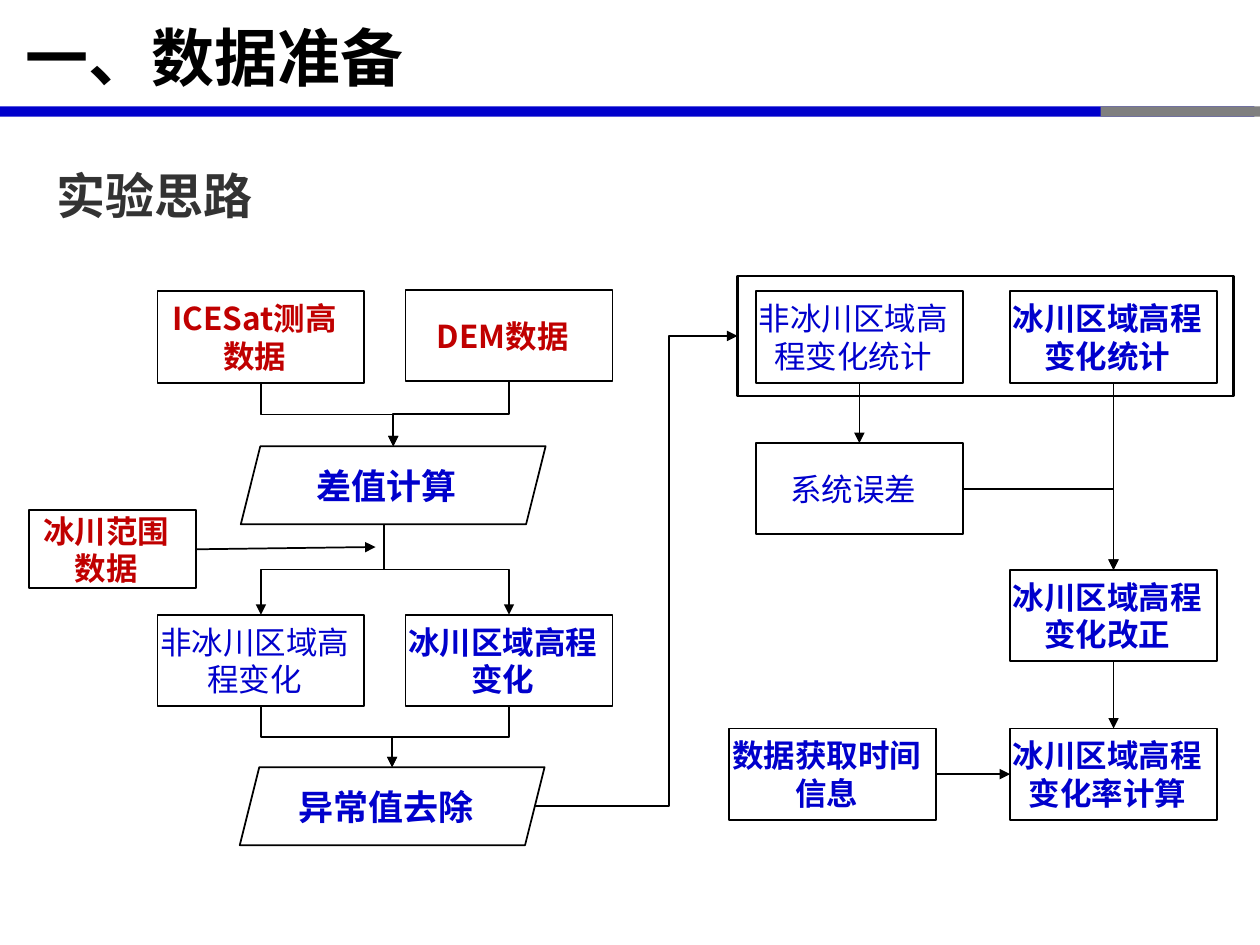
"""Build the flowchart slide on preparing glacier elevation data."""
from dataclasses import dataclass

from lxml import etree
from pptx import Presentation
from pptx import util as u
from pptx.dml.color import RGBColor
from pptx.enum import shapes, text
from pptx.oxml.ns import qn


@dataclass(frozen=True)
class Theme:
    black: str = "000000"
    blue: str = "0000CC"
    red: str = "C00000"
    grey: str = "7F7F7F"
    heading: str = "333333"
    title_font: str = "Arial"
    font: str = "Noto Sans CJK SC"
    title_size: float = 36
    heading_size: float = 28
    step_size: float = 20
    box_size: float = 18


@dataclass(frozen=True)
class Point:
    x: float
    y: float


@dataclass(frozen=True)
class Node:
    label: str
    left: float
    top: float
    width: float = 118.2
    height: float = 52.2
    color: str = Theme.blue
    bold: bool = True
    size: float = Theme.box_size
    kind: shapes.MSO_SHAPE = shapes.MSO_SHAPE.RECTANGLE
    line: float = 1

    def at(self, across: float, down: float) -> Point:
        return Point(self.left + across * self.width, self.top + down * self.height)

    @property
    def top_mid(self) -> Point:
        return self.at(0.5, 0)

    @property
    def bottom_mid(self) -> Point:
        return self.at(0.5, 1)

    @property
    def left_mid(self) -> Point:
        return self.at(0, 0.5)

    @property
    def right_mid(self) -> Point:
        return self.at(1, 0.5)


def rgb(color: str) -> RGBColor:
    return RGBColor.from_string(color)


def write(shape, label: str, size: float, color: str, bold: bool, font: str, align=None):
    frame = shape.text_frame
    frame.word_wrap = True
    paragraph = frame.paragraphs[0]
    paragraph.text = label
    paragraph.alignment = align
    paragraph.font.size = u.Pt(size)
    paragraph.font.bold = bold
    paragraph.font.color.rgb = rgb(color)
    paragraph.font.name = font
    etree.SubElement(paragraph.font._rPr, qn("a:ea")).set("typeface", Theme.font)
    return paragraph


def add_heading(slide, label: str, box: tuple, size: float, color: str, inset: float, align=None):
    shape = slide.shapes.add_textbox(*map(u.Pt, box))
    shape.text_frame.margin_left = u.Pt(inset)
    return shape, write(shape, label, size, color, True, Theme.title_font, align)


def add_bar(slide, left: float, top: float, width: float, color: str) -> None:
    box = (left, top, width, 5.8)
    bar = slide.shapes.add_shape(shapes.MSO_SHAPE.RECTANGLE, *map(u.Pt, box))
    bar.shadow.inherit = False
    bar.fill.solid()
    bar.fill.fore_color.rgb = rgb(color)
    bar.line.fill.background()


def add_node(slide, node: Node) -> None:
    box = (node.left, node.top, node.width, node.height)
    shape = slide.shapes.add_shape(node.kind, *map(u.Pt, box))
    shape.shadow.inherit = False
    shape.fill.background()
    shape.line.color.rgb = rgb(Theme.black)
    shape.line.width = u.Pt(node.line)
    if node.label:
        shape.text_frame.margin_left = 0
        shape.text_frame.vertical_anchor = text.MSO_ANCHOR.MIDDLE
        write(shape, node.label, node.size, node.color, node.bold, Theme.font, text.PP_ALIGN.CENTER)


def add_arrow(slide, start: Point, end: Point, kind=shapes.MSO_CONNECTOR.STRAIGHT):
    ends = (start.x, start.y, end.x, end.y)
    connector = slide.shapes.add_connector(kind, *map(u.Pt, ends))
    connector.line.color.rgb = rgb(Theme.black)
    connector.line.width = u.Pt(1)
    etree.SubElement(connector.line._get_or_add_ln(), qn("a:tailEnd")).set("type", "triangle")
    etree.SubElement(connector._element.spPr, qn("a:effectLst"))
    return connector


def add_elbow(slide, start: Point, end: Point):
    return add_arrow(slide, start, end, shapes.MSO_CONNECTOR.ELBOW)


def add_drop(slide, start: Point, end: Point) -> None:
    """Draw an elbow that leaves downward, as a quarter-turned connector."""
    middle = Point((start.x + end.x) / 2, (start.y + end.y) / 2)
    rightward = end.x > start.x
    along = (end.y - start.y) / 2 * (-1 if rightward else 1)
    across = abs(end.x - start.x) / 2
    connector = add_elbow(
        slide,
        Point(middle.x - along, middle.y - across),
        Point(middle.x + along, middle.y + across),
    )
    degrees = 270 if rightward else 90
    connector._element.spPr.find(qn("a:xfrm")).set("rot", str(degrees * 60000))


def main() -> None:
    presentation = Presentation()
    presentation.slide_width, presentation.slide_height = u.Pt(720), u.Pt(540)
    slide = presentation.slides.add_slide(presentation.slide_layouts[6])

    add_bar(slide, 0, 60.8, 716.8, Theme.blue)
    add_bar(slide, 629, 60.8, 91, Theme.grey)
    title, _ = add_heading(slide, "一、数据准备", (0, 0.7, 710, 62.6), Theme.title_size, Theme.black, 14.4)
    title.text_frame.vertical_anchor = text.MSO_ANCHOR.MIDDLE
    _, heading = add_heading(slide, "实验思路", (25.2, 74.2, 257, 51.8), Theme.heading_size,
                             Theme.heading, 7.2, text.PP_ALIGN.JUSTIFY)
    heading.line_spacing = 1.5

    first, second, third, fourth = 90, 231.8, 432, 577.2
    step = dict(width=174.2, height=44.6, size=Theme.step_size, kind=shapes.MSO_SHAPE.PARALLELOGRAM)
    altimetry = Node("ICESat测高数据", first, 166.5, color=Theme.red)
    dem = Node("DEM数据", second, 165.6, color=Theme.red)
    extent = Node("冰川范围数据", 16.8, 291.6, 95.2, 44.6, color=Theme.red)
    difference = Node("差值计算", 137.6, 255, **step)
    off_glacier = Node("非冰川区域高程变化", first, 351.3, bold=False)
    glacier = Node("冰川区域高程变化", second, 351.3)
    outliers = Node("异常值去除", 137, 438.4, **step)
    statistics = Node("", 421.4, 157.7, 283.7, 68.6, line=1.5)
    off_glacier_statistics = Node("非冰川区域高程变化统计", third, 166.5, bold=False)
    glacier_statistics = Node("冰川区域高程变化统计", fourth, 166.5)
    error = Node("系统误差", third, 253.2, bold=False)
    correction = Node("冰川区域高程变化改正", fourth, 325.6)
    time = Node("数据获取时间信息", 416.8, 416.3)
    rate = Node("冰川区域高程变化率计算", fourth, 416.3)
    for node in (altimetry, dem, extent, difference, off_glacier, glacier, outliers, statistics,
                 off_glacier_statistics, glacier_statistics, error, correction, time, rate):
        add_node(slide, node)

    split = difference.at(0.47, 1)
    for start, end in (
        (altimetry.bottom_mid, difference.top_mid),
        (dem.bottom_mid, difference.top_mid),
        (split, off_glacier.top_mid),
        (split, glacier.top_mid),
        (off_glacier.bottom_mid, outliers.top_mid),
        (glacier.bottom_mid, outliers.top_mid),
    ):
        add_drop(slide, start, end)

    for start, end in (
        (extent.right_mid, Point(214.6, 312.6)),
        (off_glacier_statistics.bottom_mid, error.top_mid),
        (glacier_statistics.bottom_mid, correction.top_mid),
        (correction.bottom_mid, rate.top_mid),
        (time.right_mid, rate.left_mid),
    ):
        add_arrow(slide, start, end)

    long_elbow = add_elbow(slide, outliers.at(0.97, 0.5), statistics.left_mid)
    geometry = long_elbow._element.spPr.find(qn("a:prstGeom"))
    guide = etree.SubElement(geometry.find(qn("a:avLst")), qn("a:gd"))
    guide.set("name", "adj1")
    guide.set("fmla", "val 66200")
    corner = add_elbow(slide, error.right_mid, correction.top_mid)
    corner._element.spPr.find(qn("a:prstGeom")).set("prst", "bentConnector2")

    presentation.save("out.pptx")


if __name__ == "__main__":
    main()
